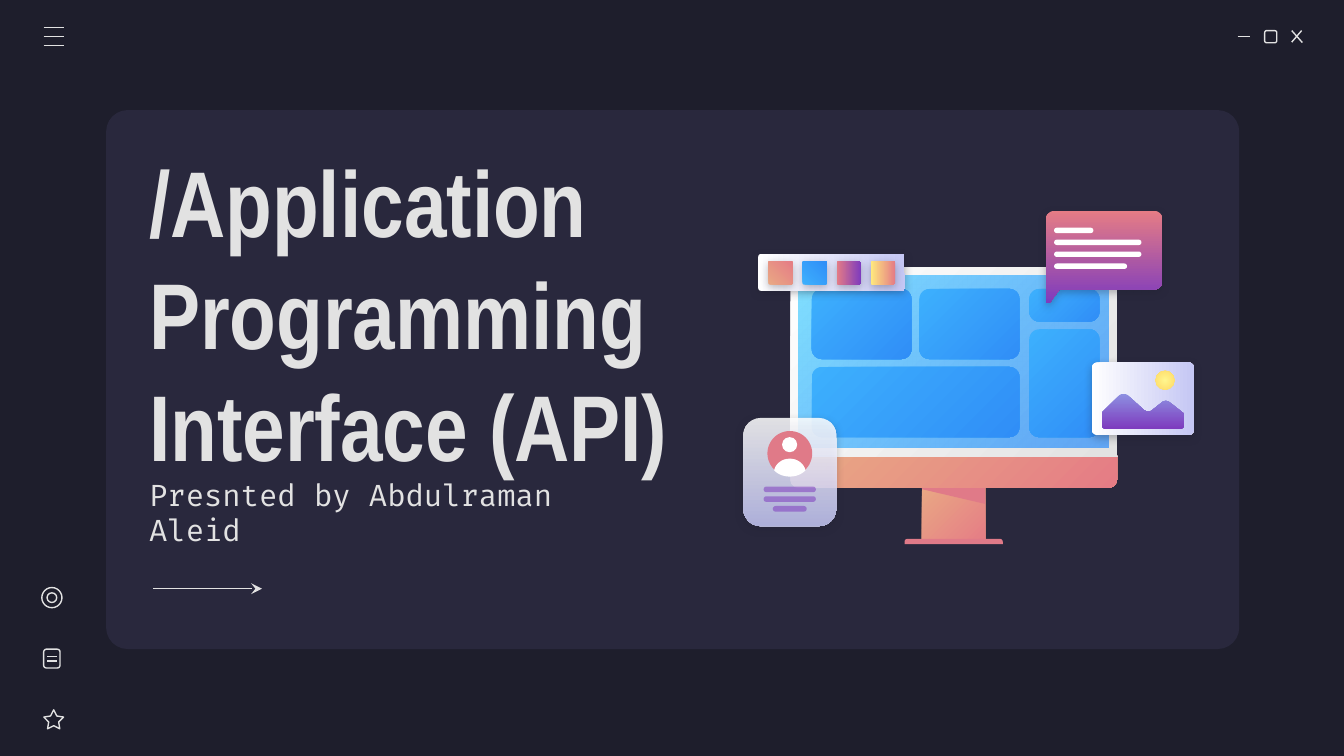
import pptx
import pptx.dml.color
import pptx.enum.dml
import pptx.enum.shapes
import pptx.enum.text
import pptx.oxml
import pptx.oxml.ns
import pptx.util
from lxml import etree

RGB = pptx.dml.color.RGBColor
Pt = pptx.util.Pt
qn = pptx.oxml.ns.qn
MSO = pptx.enum.shapes.MSO_SHAPE

NIGHT = RGB(0x1E, 0x1E, 0x2C)
PANEL = RGB(0x29, 0x28, 0x3D)
LIGHT = RGB(0xE2, 0xE2, 0xE2)
WHITE = RGB(0xFF, 0xFF, 0xFF)
LAVENDER = RGB(0xC5, 0xC7, 0xF4)
PERIWINKLE = RGB(0x8D, 0x90, 0xE1)
PURPLE = RGB(0x7E, 0x3B, 0xBE)
ROSE = RGB(0xE0, 0x7A, 0x88)
CORAL = RGB(0xE5, 0x7C, 0x85)
PEACH = RGB(0xE9, 0xA9, 0x84)
AQUA = RGB(0x80, 0xDF, 0xFF)
AZURE = RGB(0x31, 0x8F, 0xFA)
SKY = RGB(0x3D, 0xB0, 0xFD)
BLUE = RGB(0x30, 0x8E, 0xF7)
LEMON = RGB(0xFF, 0xF6, 0x8E)
YELLOW = RGB(0xFF, 0xEA, 0x7D)
GOLD = RGB(0xFF, 0xD9, 0x66)

TITLE = {"name": "Arial Narrow", "size": Pt(50), "bold": True}
SUBTITLE = {"name": "Fira Code", "size": Pt(16), "bold": False}


class Deck:
    def __init__(self):
        self.prs = pptx.Presentation()
        self.prs.slide_width, self.prs.slide_height = Pt(720), Pt(405)
        self.s = self.prs.slides.add_slide(self.prs.slide_layouts[0])
        self.s.background.fill.solid()
        self.s.background.fill.fore_color.rgb = NIGHT

    def alpha(self, parent, percent):
        for color in parent.iter(qn("a:srgbClr")):
            etree.SubElement(color, qn("a:alpha")).set("val", str(percent * 1000))

    def paint(self, sp, fill, angle=None, alpha=None, shadow=False):
        sp.shadow.inherit = False
        if fill is None:
            sp.fill.background()
            sp.line.color.rgb = LIGHT
            sp.line.width = Pt(0.75)
            return sp
        sp.line.fill.background()
        if isinstance(fill, RGB):
            sp.fill.solid()
            sp.fill.fore_color.rgb = fill
        else:
            sp.fill.gradient()
            sp.fill.gradient_angle = -(angle or 0) % 360
            for stop, color in zip(sp.fill.gradient_stops, fill):
                stop.color.rgb = color
        if alpha:
            self.alpha(sp._element.spPr, alpha)
        if shadow:
            effects = sp._element.spPr.find(qn("a:effectLst"))
            outer = etree.SubElement(effects, qn("a:outerShdw"))
            values = {"blurRad": Pt(4.5), "dist": Pt(1.5), "dir": 5400000, "rotWithShape": 0}
            for key, value in values.items():
                outer.set(key, str(int(value)))
            etree.SubElement(outer, qn("a:srgbClr")).set("val", str(NIGHT))
            self.alpha(outer, 30)
        return sp

    def shape(self, kind, x, y, w, h, fill=None, adj=(), **look):
        sp = self.s.shapes.add_shape(kind, Pt(x), Pt(y), Pt(w), Pt(h))
        for i, value in enumerate(adj):
            sp.adjustments[i] = value
        return self.paint(sp, fill, **look)

    def rounded(self, x, y, w, h, radius, fill=None, **look):
        adj = (radius / min(w, h),)
        return self.shape(MSO.ROUNDED_RECTANGLE, x, y, w, h, fill, adj, **look)

    def outline(self, start, steps, fill, **look):
        points = [start]
        for step in steps:
            if len(step) == 2:
                points.append(step)
                continue
            ends = (points[-1], step[:2], step[2:4], step[4:])
            for t in (i / 8 for i in range(1, 9)):
                weights = ((1 - t) ** 3, 3 * t * (1 - t) ** 2, 3 * t * t * (1 - t), t ** 3)
                points.append(tuple(sum(b * e[axis] for b, e in zip(weights, ends))
                                    for axis in (0, 1)))
        emu = [(Pt(x), Pt(y)) for x, y in points]
        builder = self.s.shapes.build_freeform(*emu[0], scale=1.0)
        builder.add_line_segments(emu[1:], close=True)
        return self.paint(builder.convert_to_shape(), fill, **look)

    def line(self, x1, y1, x2, y2, tail=None):
        straight = pptx.enum.shapes.MSO_CONNECTOR.STRAIGHT
        cx = self.s.shapes.add_connector(straight, Pt(x1), Pt(y1), Pt(x2), Pt(y2))
        cx.line.color.rgb = LIGHT
        cx.line.width = Pt(0.75)
        if tail:
            etree.SubElement(cx.line._get_or_add_ln(), qn("a:tailEnd")).set("type", tail)
        etree.SubElement(cx._element.spPr, qn("a:effectLst"))

    def radial(self, sp):
        grad = sp._element.spPr.find(qn("a:gradFill"))
        grad.remove(grad.find(qn("a:lin")))
        circle = etree.SubElement(grad, qn("a:path"))
        circle.set("path", "circle")
        center = etree.SubElement(circle, qn("a:fillToRect"))
        for side in "ltrb":
            center.set(side, "50000")

    def text(self, index, x, y, w, h, words, style):
        sp = self.s.placeholders[index]
        sp.left, sp.top, sp.width, sp.height = Pt(x), Pt(y), Pt(w), Pt(h)
        tf = sp.text_frame
        frame = {"word_wrap": True, "auto_size": pptx.enum.text.MSO_AUTO_SIZE.NONE,
                 "vertical_anchor": pptx.enum.text.MSO_ANCHOR.MIDDLE}
        frame.update({f"margin_{side}": Pt(7.2) for side in ("left", "top", "right", "bottom")})
        for key, value in frame.items():
            setattr(tf, key, value)
        p = tf.paragraphs[0]
        p.alignment = pptx.enum.text.PP_ALIGN.LEFT
        p.space_before = Pt(0)
        r = p.add_run()
        r.text = words
        for key, value in style.items():
            setattr(r.font, key, value)
        r.font.color.rgb = LIGHT

    def send_to_back(self, sp):
        self.s.shapes._spTree.insert(2, sp._element)


def window(d):
    d.send_to_back(d.rounded(56.9, 59, 607, 288.7, 11.5, PANEL))
    d.line(663.1, 19.6, 669.6, 19.6)
    d.rounded(677.5, 16.4, 6.5, 6.5, 1.1)
    d.line(692, 16.4, 697.7, 22.8)
    d.line(697.3, 16.4, 692, 22.6)
    for i in range(3):
        d.line(23.4, 14.8 + 4.8 * i, 34.2, 14.8 + 4.8 * i)
    d.shape(MSO.STAR_5_POINT, 23.5, 380.3, 10.6, 10.2, adj=(0.254,))
    d.rounded(23.4, 347.8, 8.8, 10.1, 1.5)
    for y in (351.6, 354.2):
        d.line(25.2, y, 30.4, y)
    for inset in (0, 2.8):
        d.shape(MSO.OVAL, 22.4 + inset, 314.8 + inset, 10.8 - 2 * inset, 10.8 - 2 * inset)
    d.line(82.1, 315.4, 140.4, 315.4, tail="stealth")


def monitor(d):
    d.shape(MSO.RECTANGLE, 493.9, 259.9, 33.9, 31, (PEACH, CORAL), angle=45)
    d.shape(MSO.ROUND_2_SAME_RECTANGLE, 484.6, 288.7, 52.6, 2.9, ROSE, (0.5, 0))
    d.outline((493.9, 259.9), [(493.9, 262.1), (527.8, 270), (527.8, 259.9)], ROSE)
    d.shape(MSO.ROUND_2_SAME_RECTANGLE, 423.4, 244.1, 175, 17.3, (PEACH, CORAL),
            (0, 0.25), angle=45)
    d.shape(MSO.ROUND_2_SAME_RECTANGLE, 423.4, 143.3, 175, 101.5, (WHITE, LIGHT),
            (0.04, 0), angle=45)
    glass = d.shape(MSO.RECTANGLE, 427.7, 147.6, 166, 92.2, (AQUA, AZURE), angle=45)
    d.alpha(glass.fill.gradient_stops[1]._gs, 72)
    tiles = [(434.9, 154.8, 53.4, 37.6), (434.9, 196.6, 111.2, 37.6),
             (492.5, 154.8, 53.6, 37.6), (551.4, 154.8, 37.6, 17.5),
             (551.4, 176.4, 37.6, 57.8)]
    for tile in tiles:
        d.rounded(*tile, 5.4, (SKY, BLUE), angle=45)


def chat_bubble(d):
    d.outline((565, 113), [
        (562.5, 113, 560.2, 115, 560.2, 118), (560.2, 161.3),
        (560.2, 162.2, 561.8, 162.8, 562.6, 162), (567.6, 155.1), (618.3, 155.1),
        (620.8, 155.1, 622.8, 153, 622.8, 150.3), (622.8, 118),
        (622.8, 115, 620.8, 113, 618.3, 113)], (CORAL, PURPLE), angle=90, shadow=True)
    for i, width in enumerate((21.1, 46.8, 46.8, 39.1)):
        d.rounded(564.7, 122 + 6.4 * i, width, 2.9, 1.45, WHITE)


def profile_card(d):
    d.rounded(398.2, 223.9, 49.8, 58, 9.3, (WHITE, LAVENDER), angle=90, alpha=86, shadow=True)
    d.shape(MSO.OVAL, 411.1, 230.9, 24, 24, ROSE)
    d.shape(MSO.OVAL, 419, 234.2, 8.1, 8.1, WHITE)
    d.outline((423.1, 245.7), [
        (419, 245.7, 415.4, 248.4, 414.7, 252), (416.9, 254.2, 419.8, 255.3, 423.1, 255.3),
        (426.4, 255.3, 429.3, 254.2, 431.5, 252),
        (430.8, 248.4, 427.2, 245.7, 423.1, 245.7)], WHITE)
    for i, width in enumerate((28, 28, 18.2)):
        d.rounded(423.1 - width / 2, 260.7 + 5.2 * i, width, 3, 1.5, PURPLE, alpha=54)


def photo_card(d):
    d.rounded(584.8, 194.2, 54.8, 38.8, 2.8, (WHITE, LAVENDER), angle=0, shadow=True)
    d.outline((601.9, 211), [
        (601.2, 211, 600.5, 211.2, 599.8, 211.7), (591.1, 220.3),
        (590.6, 220.8, 590.4, 221.3, 590.4, 221.8), (590.4, 227.5),
        (590.4, 228.8, 591.3, 229.7, 592.6, 229.7), (632.1, 229.7),
        (633.4, 229.7, 634.3, 228.8, 634.3, 227.5), (634.3, 222.5),
        (634.3, 221.8, 633.8, 221.3, 633.4, 220.9), (626.4, 215.4),
        (625.2, 214.6, 623.5, 214.6, 622.4, 215.6), (617, 220),
        (615.8, 220.8, 613.8, 220.6, 612.7, 219.6), (604.1, 211.7),
        (603.4, 211.2, 602.6, 211, 601.9, 211)], (PERIWINKLE, PURPLE), angle=90)
    d.radial(d.shape(MSO.OVAL, 619, 198.6, 10.3, 10.3, (LEMON, GOLD)))


def swatch_bar(d):
    d.rounded(406.2, 136.1, 78.5, 19.7, 1.4, (WHITE, LAVENDER), angle=0, shadow=True)
    swatches = [(PEACH, CORAL, 315), (SKY, BLUE, 315), (CORAL, PURPLE, 0), (YELLOW, CORAL, 0)]
    for i, (start, end, angle) in enumerate(swatches):
        d.rounded(411.6 + 18.3 * i, 139.9, 13, 12.6, 0.9, (start, end), angle=angle, shadow=True)


def main():
    d = Deck()
    d.text(1, 72.7, 257.8, 287.3, 33.1, "Presnted by Abdulraman Aleid", SUBTITLE)
    d.text(0, 72.7, 103.7, 321.8, 126.7, "/Application Programming Interface (API)", TITLE)
    for draw in (window, monitor, chat_bubble, profile_card, photo_card, swatch_bar):
        draw(d)
    d.prs.save("out.pptx")


if __name__ == "__main__":
    main()
